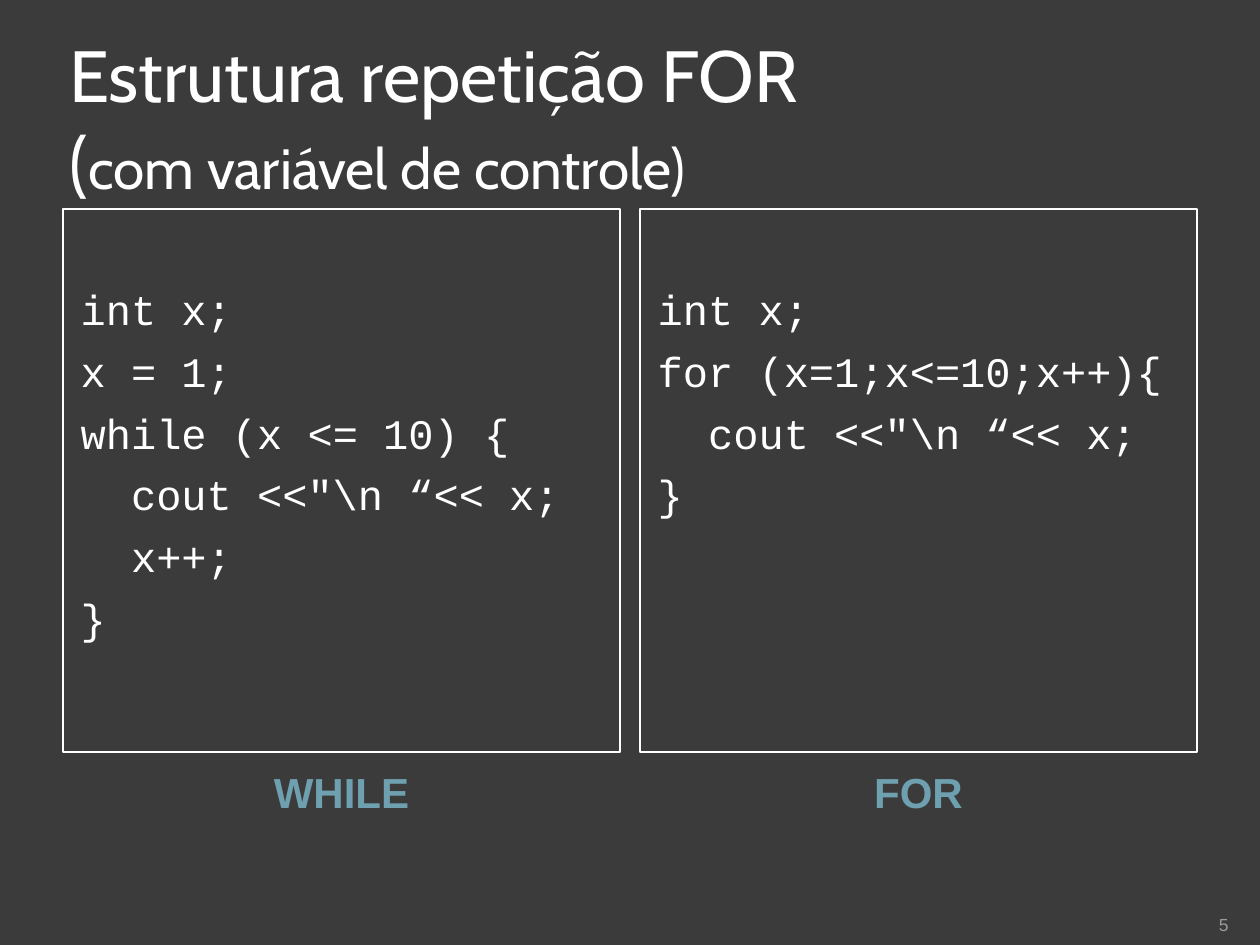
from pptx import Presentation
from pptx.dml.color import RGBColor
from pptx.enum.shapes import MSO_SHAPE
from pptx.enum.text import MSO_ANCHOR, PP_ALIGN
from pptx.util import Inches, Pt

DARK = RGBColor(0x3B, 0x3B, 0x3B)
WHITE = RGBColor(0xFF, 0xFF, 0xFF)
BLUE = RGBColor(0x6E, 0xA0, 0xB0)
GRAY = RGBColor(0x9D, 0x9B, 0x9A)

TITLE = [[("Estrutura repetição FOR", 41.4)],
         [("(", 41.4), ("com variável de controle)", 32.4)]]
# Each code line: indent level, text
PANELS = [
    ("WHILE", [(0, "int x;"), (0, "x = 1;"), (0, "while (x <= 10) {"),
               (1, 'cout <<"\\n “<< x;'), (1, "x++;"), (0, "}")]),
    ("FOR", [(0, "int x;"), (0, "for (x=1;x<=10;x++){"),
             (1, 'cout <<"\\n “<< x;'), (0, "}")]),
]
PAGE = "5"

LEFT, WIDTH, STEP = 0.5, 4.42, 4.58
CODE = {"name": "Courier New", "size": Pt(24)}
LABEL = {"name": "Arial", "size": Pt(24), "bold": True}
SMALL = {"name": "Arial", "size": Pt(10)}


def set_all(item, values):
    """Set attributes of an item from a dict."""
    for key, value in values.items():
        setattr(item, key, value)


def add_run(para, text, font, color):
    """Add one formatted run to a paragraph."""
    run = para.add_run()
    run.text = text
    set_all(run.font, font)
    run.font.color.rgb = color


def set_frame(shape, insets, anchor=MSO_ANCHOR.TOP):
    """Set wrap, anchor and insets (left, top, right, bottom)."""
    frame = shape.text_frame
    sides = ("margin_left", "margin_top", "margin_right", "margin_bottom")
    set_all(frame, {"word_wrap": True, "vertical_anchor": anchor})
    set_all(frame, dict(zip(sides, map(Inches, insets))))
    return frame


def add_text(slide, area, insets, anchor, align):
    """Add a text box and return its first paragraph."""
    box = slide.shapes.add_textbox(*map(Inches, area))
    para = set_frame(box, insets, anchor).paragraphs[0]
    para.alignment = align
    return para


def add_title(slide):
    """Add the two-line title."""
    para = add_text(slide, (LEFT, 0.3, 9, 1.25), [0.05] * 4,
                    MSO_ANCHOR.MIDDLE, PP_ALIGN.LEFT)
    for row, parts in enumerate(TITLE):
        if row:
            para.add_line_break()
        for text, size in parts:
            add_run(para, text, {"name": "Cabin", "size": Pt(size)}, WHITE)


def add_panel(slide, left, label, lines):
    """Add a code box with its label below."""
    area = map(Inches, (left, 1.66, WIDTH, 4.31))
    box = slide.shapes.add_shape(MSO_SHAPE.RECTANGLE, *area)
    box.shadow.inherit = False
    box.fill.background()
    box.line.color.rgb = WHITE
    box.line.width = Pt(0.75)
    frame = set_frame(box, (0.14, 0.59, 0.1, 0.05))
    for row, (level, text) in enumerate(lines):
        para = frame.add_paragraph() if row else frame.paragraphs[0]
        para.alignment = PP_ALIGN.LEFT
        para.space_before = Pt(6.5 if row else 0)
        para._p.get_or_add_pPr().set("marL", str(Inches(0.4 * level)))
        add_run(para, text, CODE, WHITE)
    para = add_text(slide, (left, 6, WIDTH, 0.92), (0.1, 0.08, 0.1, 0.05),
                    MSO_ANCHOR.TOP, PP_ALIGN.CENTER)
    add_run(para, label, LABEL, BLUE)


def build():
    """Build and save the slide."""
    deck = Presentation()
    set_all(deck, {"slide_width": Inches(10), "slide_height": Inches(7.5)})
    slide = deck.slides.add_slide(deck.slide_layouts[6])
    slide.background.fill.solid()
    slide.background.fill.fore_color.rgb = DARK
    add_title(slide)
    for col, (label, lines) in enumerate(PANELS):
        add_panel(slide, LEFT + col * STEP, label, lines)
    para = add_text(slide, (8.92, 7.02, 0.83, 0.4), [0] * 4,
                    MSO_ANCHOR.BOTTOM, PP_ALIGN.RIGHT)
    add_run(para, PAGE, SMALL, GRAY)
    deck.save("out.pptx")


build()
